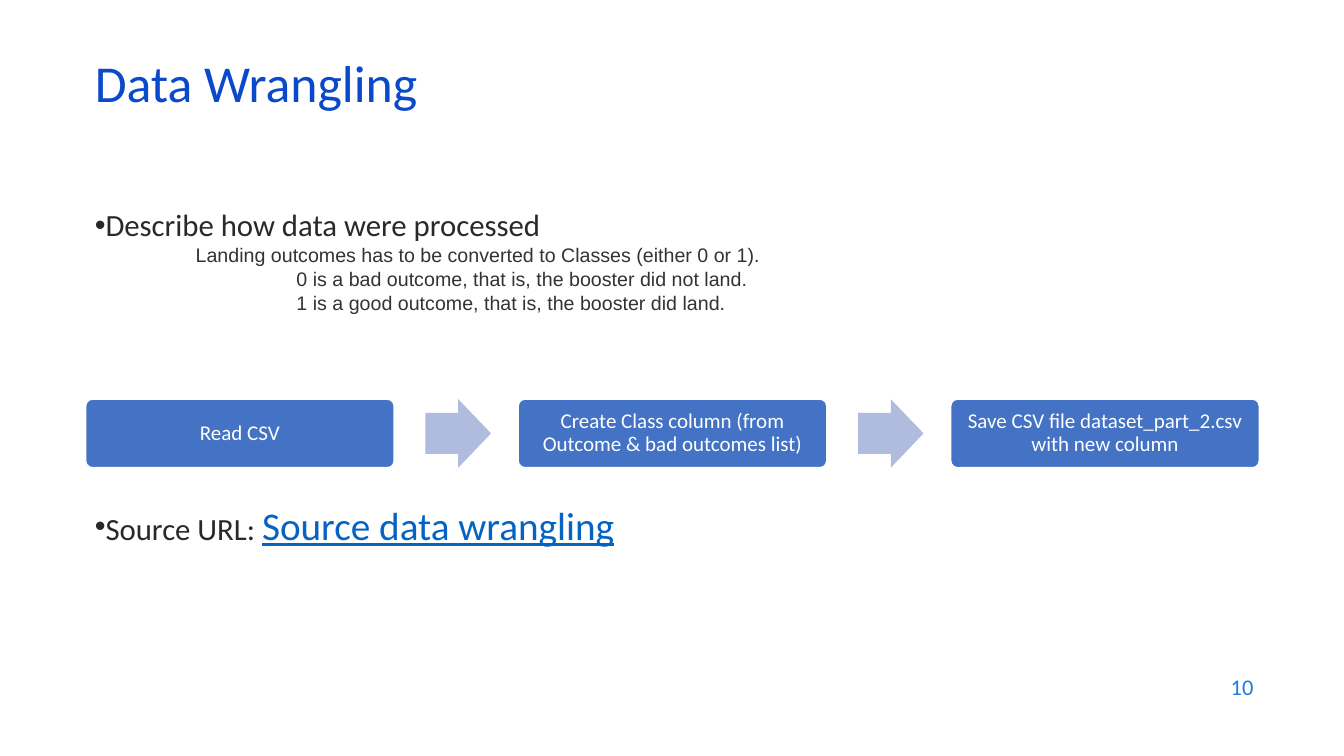
from lxml import etree
from pptx import Presentation
from pptx.dml.color import RGBColor
from pptx.enum import shapes, text
from pptx.oxml.ns import qn
from pptx.util import Inches, Pt

TITLE = "Data Wrangling"
PAGE_NUMBER = "10"
# (runs as (wording, style), bulleted, left indent in inches, space before in points)
BODY = [
    ([("Describe how data were processed", "body")], True, 0, 0),
    ([("Landing outcomes has to be converted to Classes (either 0 or 1).", "detail")], False, 1, 2),
    ([("0 is a bad outcome, that is, the booster did not land.", "detail")], False, 2, 2),
    ([("1 is a good outcome, that is, the booster did land.", "detail")], False, 2, 2),
    ([("Source URL: ", "body"), ("Source data wrangling", "link")], True, 0, 137),
]
STEPS = [
    "Read CSV",
    "Create Class column (from Outcome & bad outcomes list)",
    "Save CSV file dataset_part_2.csv with new column",
]

THEME = {
    "title": {"name": "Calibri", "size": 37, "color": "0B49CB"},
    "body": {"name": "Calibri", "size": 22, "color": "292929"},
    "detail": {"name": "Arial", "size": 14, "color": "333333"},
    "link": {"name": "Calibri", "size": 28, "color": "0563C1", "underline": True},
    "step": {"name": "Calibri", "size": 15, "color": "FFFFFF"},
    "number": {"name": "Calibri", "size": 16, "color": "1C7DDB"},
    "step_fill": "4472C4",
    "step_line": "FFFFFF",
    "arrow_fill": "B0BCDE",
}

STEP_LEFT, STEP_TOP, STEP_WIDTH, STEP_HEIGHT = 0.85, 3.96, 3.06, 0.68
STEP_PITCH, ARROW_OFFSET, ARROW_WIDTH = 4.29, 3.37, 0.65


def place(item, left, top, width, height):
    bounds = {"left": left, "top": top, "width": width, "height": height}
    for name, value in bounds.items():
        setattr(item, name, Inches(value))


def add_span(para, wording, style):
    span = para.add_run()
    span.text = wording
    for name, value in THEME[style].items():
        if name == "color":
            span.font.color.rgb = RGBColor.from_string(value)
        else:
            setattr(span.font, name, Pt(value) if name == "size" else value)


def set_bullet(para, bulleted, indent):
    props = para._p.get_or_add_pPr()
    props.set("marL", str(Inches(indent)))
    props.set("indent", "0")
    if bulleted:
        etree.SubElement(props, qn("a:buFont")).set("typeface", "Arial")
        etree.SubElement(props, qn("a:buChar")).set("char", "•")
    else:
        etree.SubElement(props, qn("a:buNone"))


def write_line(box, wording, style, align, line_spacing=1.0):
    """Fill a box with one vertically centred paragraph."""
    frame = box.text_frame
    frame.word_wrap = True
    frame.auto_size = text.MSO_AUTO_SIZE.NONE
    frame.vertical_anchor = text.MSO_ANCHOR.MIDDLE
    para = frame.paragraphs[0]
    para.alignment = align
    para.line_spacing = line_spacing
    add_span(para, wording, style)


def write_body(box):
    frame = box.text_frame
    frame.word_wrap = True
    frame.auto_size = text.MSO_AUTO_SIZE.NONE
    frame.vertical_anchor = text.MSO_ANCHOR.TOP
    for index, (spans, bulleted, indent, before) in enumerate(BODY):
        para = frame.add_paragraph() if index else frame.paragraphs[0]
        set_bullet(para, bulleted, indent)
        para.line_spacing = 0.9
        para.space_before = Pt(before)
        for wording, style in spans:
            add_span(para, wording, style)


def add_flow_shape(page, kind, left, width, fill, adjustments):
    shape = page.shapes.add_shape(
        kind, Inches(left), Inches(STEP_TOP), Inches(width), Inches(STEP_HEIGHT))
    shape.shadow.inherit = False
    shape.fill.solid()
    shape.fill.fore_color.rgb = RGBColor.from_string(THEME[fill])
    shape.line.fill.background()
    for index, value in enumerate(adjustments):
        shape.adjustments[index] = value
    return shape


def add_flow(page):
    for index, wording in enumerate(STEPS):
        left = STEP_LEFT + index * STEP_PITCH
        step = add_flow_shape(page, shapes.MSO_SHAPE.ROUNDED_RECTANGLE, left,
                              STEP_WIDTH, "step_fill", [0.1])
        step.line.color.rgb = RGBColor.from_string(THEME["step_line"])
        step.line.width = Pt(1)
        for side in ("left", "top", "right", "bottom"):
            setattr(step.text_frame, f"margin_{side}", Inches(0.08))
        write_line(step, wording, "step", text.PP_ALIGN.CENTER, 0.9)
        if index < len(STEPS) - 1:
            add_flow_shape(page, shapes.MSO_SHAPE.RIGHT_ARROW, left + ARROW_OFFSET,
                           ARROW_WIDTH, "arrow_fill", [0.6, 0.5])


def main():
    deck = Presentation()
    deck.slide_width, deck.slide_height = Inches(13.33), Inches(7.5)
    page = deck.slides.add_slide(deck.slide_layouts[1])
    title, body = page.shapes.title, page.placeholders[1]
    place(title, 0.84, 0.59, 11.5, 0.6)
    write_line(title, TITLE, "title", text.PP_ALIGN.LEFT, 0.7)
    place(body, 0.84, 2.03, 9.82, 4.73)
    write_body(body)
    add_flow(page)
    number = page.shapes.add_textbox(Inches(9.53), Inches(6.59), Inches(3), Inches(0.44))
    write_line(number, PAGE_NUMBER, "number", text.PP_ALIGN.RIGHT)
    deck.save("out.pptx")


if __name__ == "__main__":
    main()
